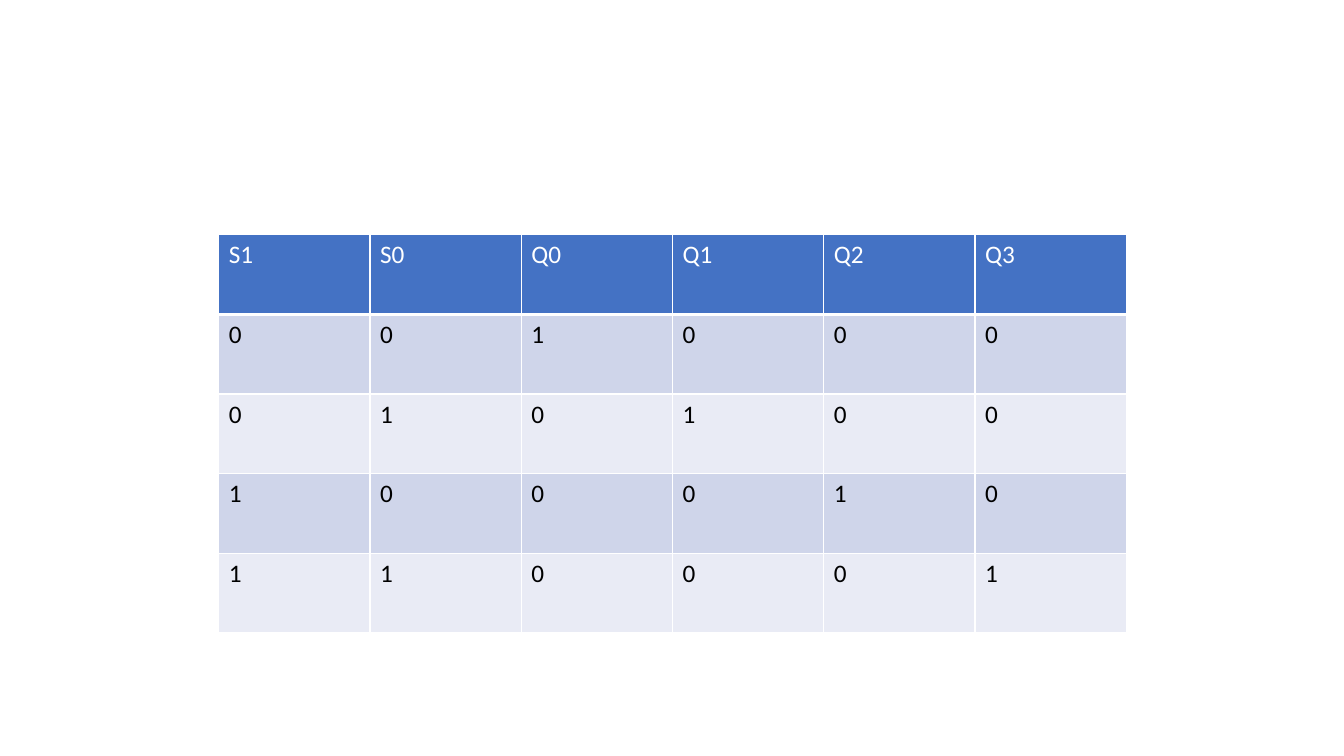
from lxml.etree import SubElement
from pptx import Presentation
from pptx.dml.color import RGBColor
from pptx.oxml.ns import qn
from pptx.util import Inches, Pt

COLORS = {
    "header": "4472C4",
    "odd_row": "CFD5EA",
    "even_row": "E9EBF5",
    "border": "FFFFFF",
    "header_text": "FFFFFF",
    "body_text": "000000",
}
FONT_FORMAT = {"name": "Calibri", "size": Pt(18), "bold": False}

COLUMN_WIDTH = 1.5
ROW_HEIGHT = 0.79
THIN, THICK = 1, 3

TRUTH_TABLE = [
    ["S1", "S0", "Q0", "Q1", "Q2", "Q3"],
    ["0", "0", "1", "0", "0", "0"],
    ["0", "1", "0", "1", "0", "0"],
    ["1", "0", "0", "0", "1", "0"],
    ["1", "1", "0", "0", "0", "1"],
]


def color(name):
    return RGBColor.from_string(COLORS[name])


def set_borders(cell, top, bottom):
    """Draw the four cell edges; the widths are in points."""
    properties = cell._tc.get_or_add_tcPr()
    edges = {"lnL": THIN, "lnR": THIN, "lnT": top, "lnB": bottom}
    for edge, width in edges.items():
        line = SubElement(properties, qn(f"a:{edge}"), w=str(Pt(width)))
        fill = SubElement(line, qn("a:solidFill"))
        SubElement(fill, qn("a:srgbClr"), val=COLORS["border"])


def format_cell(cell, text, fill_name, text_color):
    cell.fill.solid()
    cell.fill.fore_color.rgb = color(fill_name)
    cell.text = text
    font = cell.text_frame.paragraphs[0].runs[0].font
    for attribute, value in FONT_FORMAT.items():
        setattr(font, attribute, value)
    font.color.rgb = color(text_color)


def add_truth_table(slide, rows, left, top):
    row_count, column_count = len(rows), len(rows[0])
    table = slide.shapes.add_table(
        row_count, column_count, Inches(left), Inches(top),
        Inches(column_count * COLUMN_WIDTH), Inches(row_count * ROW_HEIGHT),
    ).table
    for column in table.columns:
        column.width = Inches(COLUMN_WIDTH)

    for row_index, values in enumerate(rows):
        table.rows[row_index].height = Inches(ROW_HEIGHT)
        if row_index == 0:
            fill_name, text_color = "header", "header_text"
        else:
            fill_name = "odd_row" if row_index % 2 else "even_row"
            text_color = "body_text"
        # The edge between header and body is thick on both sides
        top_width = THICK if row_index == 1 else THIN
        bottom_width = THICK if row_index == 0 else THIN
        for column_index, value in enumerate(values):
            cell = table.cell(row_index, column_index)
            set_borders(cell, top_width, bottom_width)
            format_cell(cell, value, fill_name, text_color)


def main():
    presentation = Presentation()
    presentation.slide_width = Inches(13.33)
    presentation.slide_height = Inches(7.5)
    blank_layout = presentation.slide_layouts[6]
    slide = presentation.slides.add_slide(blank_layout)

    # Select lines S and outputs Q
    add_truth_table(slide, TRUTH_TABLE, left=2.17, top=2.33)

    presentation.save("out.pptx")


if __name__ == "__main__":
    main()
